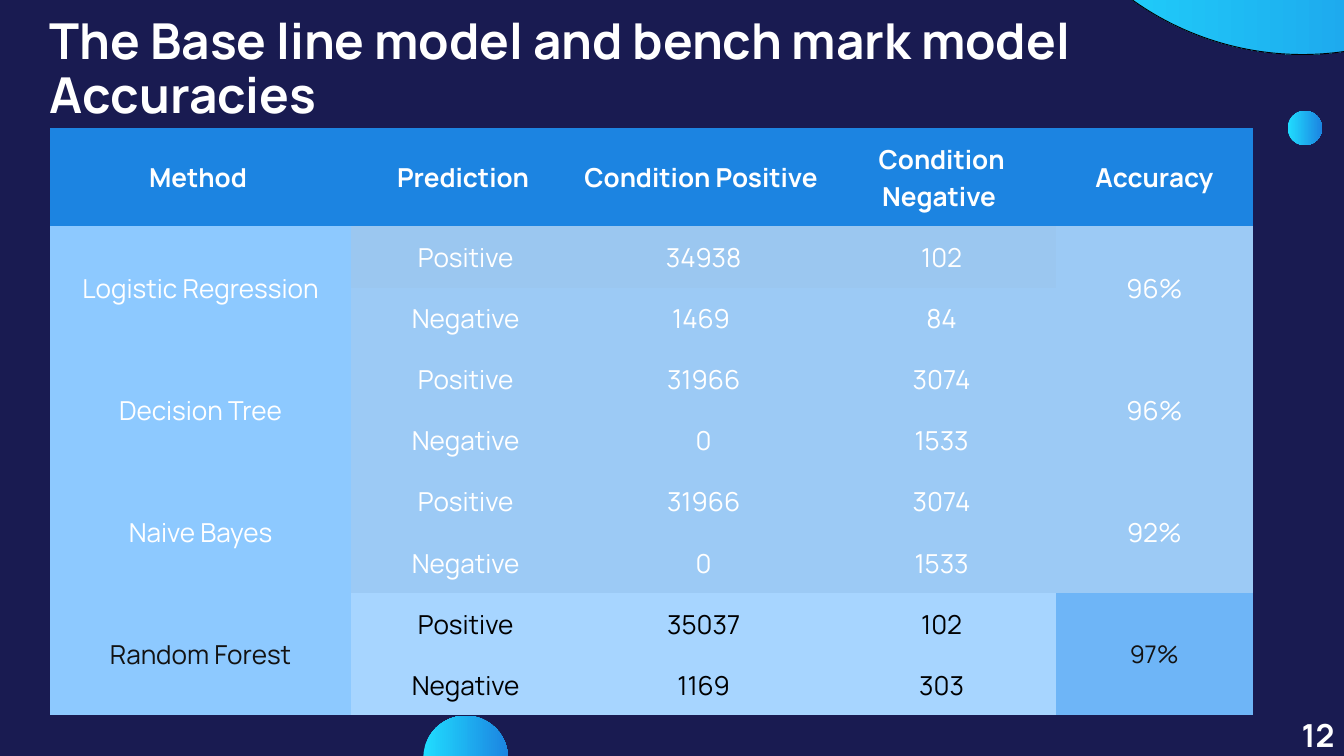
"""Build the slide comparing the accuracies of the baseline and benchmark models."""
from dataclasses import dataclass

from pptx import Presentation
from pptx.dml.color import RGBColor
from pptx.enum.shapes import MSO_SHAPE
from pptx.enum.text import MSO_ANCHOR, MSO_AUTO_SIZE, PP_ALIGN
from pptx.shapes.autoshape import Shape
from pptx.slide import Slide
from pptx.table import Table, _Cell
from pptx.text.text import TextFrame
from pptx.util import Cm, Pt

OVAL = MSO_SHAPE.OVAL
TOP, MIDDLE = MSO_ANCHOR.TOP, MSO_ANCHOR.MIDDLE
LEFT, CENTER = PP_ALIGN.LEFT, PP_ALIGN.CENTER
NO_AUTOFIT = MSO_AUTO_SIZE.NONE

FONT = "Manrope"
NO_GRID_STYLE = "{2D5ABB26-0587-4C30-8999-92F81FD0307C}"
TITLE_ONLY = 5

NAVY = RGBColor(0x19, 0x1B, 0x51)
WHITE = RGBColor(0xFF, 0xFF, 0xFF)
BLACK = RGBColor(0x00, 0x00, 0x00)
CHARCOAL = RGBColor(0x12, 0x12, 0x12)
CYAN = RGBColor(0x20, 0xDD, 0xFF)
BLUE = RGBColor(0x1C, 0x84, 0xE1)
METHOD_BLUE = RGBColor(0x8D, 0xC9, 0xFF)
FIRST_ROW_BLUE = RGBColor(0x9B, 0xC7, 0xF0)
PALE_BLUE = RGBColor(0x9C, 0xCA, 0xF5)
BEST_ROW_BLUE = RGBColor(0xA7, 0xD5, 0xFF)
BEST_SCORE_BLUE = RGBColor(0x6E, 0xB5, 0xF7)


@dataclass(frozen=True)
class Bubble:
    left: float
    top: float
    diameter: float
    outlined: bool = False


@dataclass(frozen=True)
class Model:
    method: str
    positive: tuple[str, str]
    negative: tuple[str, str]
    accuracy: str
    positive_fill: RGBColor = PALE_BLUE
    negative_fill: RGBColor = PALE_BLUE
    accuracy_fill: RGBColor = PALE_BLUE
    count_color: RGBColor = WHITE
    label_color: RGBColor = WHITE
    accuracy_size: int = 28


BUBBLES = (
    Bubble(38.18, -20.04, 22.1, outlined=True),
    Bubble(48.67, 4.19, 1.3),
    Bubble(16, 27.05, 3.2),
)
HEADINGS = ("Method ", "Prediction ", "Condition Positive ", "Condition Negative ", "Accuracy")
COLUMN_WIDTHS = (11.4, 8.64, 9.35, 8.64, 7.44)
HEADER_HEIGHT, ROW_HEIGHT = 3.71, 2.31
MODELS = (
    Model("Logistic Regression", ("34938", "102"), ("1469 ", "84"), "96%",
          positive_fill=FIRST_ROW_BLUE),
    Model("Decision Tree", ("31966", "3074"), ("0", "1533"), "96%"),
    Model("Naive Bayes", ("31966", "3074"), ("0", "1533"), "92%"),
    Model("Random Forest", ("35037", "102"), ("1169", "303"), "97%",
          BEST_ROW_BLUE, BEST_ROW_BLUE, BEST_SCORE_BLUE, BLACK, CHARCOAL, 26),
)


def write(frame: TextFrame, text: str, *, size: float, line: float, color: RGBColor = WHITE,
          bold: bool = False, align: PP_ALIGN = CENTER) -> None:
    frame.word_wrap = True
    paragraph = frame.paragraphs[0]
    paragraph.alignment = align
    paragraph.line_spacing = Pt(line)
    run = paragraph.add_run()
    run.text = text
    run.font.name = FONT
    run.font.size = Pt(size)
    run.font.bold = bold
    run.font.color.rgb = color


def place(box: Shape, left: float, top: float, width: float, height: float) -> TextFrame:
    box.left, box.top, box.width, box.height = Cm(left), Cm(top), Cm(width), Cm(height)
    frame = box.text_frame
    frame.margin_left = frame.margin_top = frame.margin_right = frame.margin_bottom = 0
    frame.vertical_anchor = TOP
    frame.auto_size = NO_AUTOFIT
    return frame


def draw_bubble(slide: Slide, bubble: Bubble) -> None:
    diameter = Cm(bubble.diameter)
    disc = slide.shapes.add_shape(OVAL, Cm(bubble.left), Cm(bubble.top), diameter, diameter)
    disc.shadow.inherit = False
    disc.fill.gradient()
    disc.fill.gradient_angle = 0
    for stop, color in zip(disc.fill.gradient_stops, (CYAN, BLUE)):
        stop.color.rgb = color
    if bubble.outlined:
        disc.line.color.rgb = BLACK
        disc.line.width = Pt(1)
    else:
        disc.line.fill.background()


def fill_cell(cell: _Cell, text: str, fill: RGBColor, *, size: int = 28,
              color: RGBColor = WHITE, bold: bool = False) -> None:
    cell.fill.solid()
    cell.fill.fore_color.rgb = fill
    cell.vertical_anchor = MIDDLE
    cell.margin_left = cell.margin_right = cell.margin_top = cell.margin_bottom = Cm(0.13)
    write(cell.text_frame, text, size=size, line=size * 1.4, color=color, bold=bold)


def fill_model(table: Table, row: int, model: Model) -> None:
    last = len(HEADINGS) - 1
    for column in (0, last):
        table.cell(row, column).merge(table.cell(row + 1, column))
    fill_cell(table.cell(row, 0), model.method, METHOD_BLUE, color=model.label_color)
    fill_cell(table.cell(row, last), model.accuracy, model.accuracy_fill,
              size=model.accuracy_size, color=model.label_color)
    predictions = (
        (("Positive", *model.positive), model.positive_fill),
        (("Negative", *model.negative), model.negative_fill),
    )
    for offset, (values, fill) in enumerate(predictions):
        for column, value in enumerate(values, start=1):
            fill_cell(table.cell(row + offset, column), value, fill, color=model.count_color)


def draw_accuracies(slide: Slide) -> None:
    heights = [HEADER_HEIGHT] + [ROW_HEIGHT] * (2 * len(MODELS))
    frame = slide.shapes.add_table(len(heights), len(HEADINGS), Cm(1.88), Cm(4.85),
                                   Cm(sum(COLUMN_WIDTHS)), Cm(sum(heights)))
    table = frame.table
    table._tbl.tblPr[0].text = NO_GRID_STYLE
    table.horz_banding = False
    for column, width in zip(table.columns, COLUMN_WIDTHS):
        column.width = Cm(width)
    for row, height in zip(table.rows, heights):
        row.height = Cm(height)
    for column, heading in enumerate(HEADINGS):
        fill_cell(table.cell(0, column), heading, BLUE, bold=True)
    for index, model in enumerate(MODELS):
        fill_model(table, 1 + 2 * index, model)


def main() -> None:
    deck = Presentation()
    deck.slide_width, deck.slide_height = Cm(50.8), Cm(28.575)
    slide = deck.slides.add_slide(deck.slide_layouts[TITLE_ONLY])
    slide.background.fill.solid()
    slide.background.fill.fore_color.rgb = NAVY

    title = place(slide.shapes.title, 1.88, 0.61, 44.48, 4.22)
    write(title, "The Base line model and bench mark model Accuracies",
          size=53, line=57.2, bold=True, align=LEFT)
    for bubble in BUBBLES:
        draw_bubble(slide, bubble)
    draw_accuracies(slide)
    page_number = place(slide.shapes.add_textbox(0, 0, 0, 0), 48.84, 26.54, 1.96, 1.93)
    write(page_number, "12", size=34, line=55.1, bold=True)

    deck.save("out.pptx")


if __name__ == "__main__":
    main()
